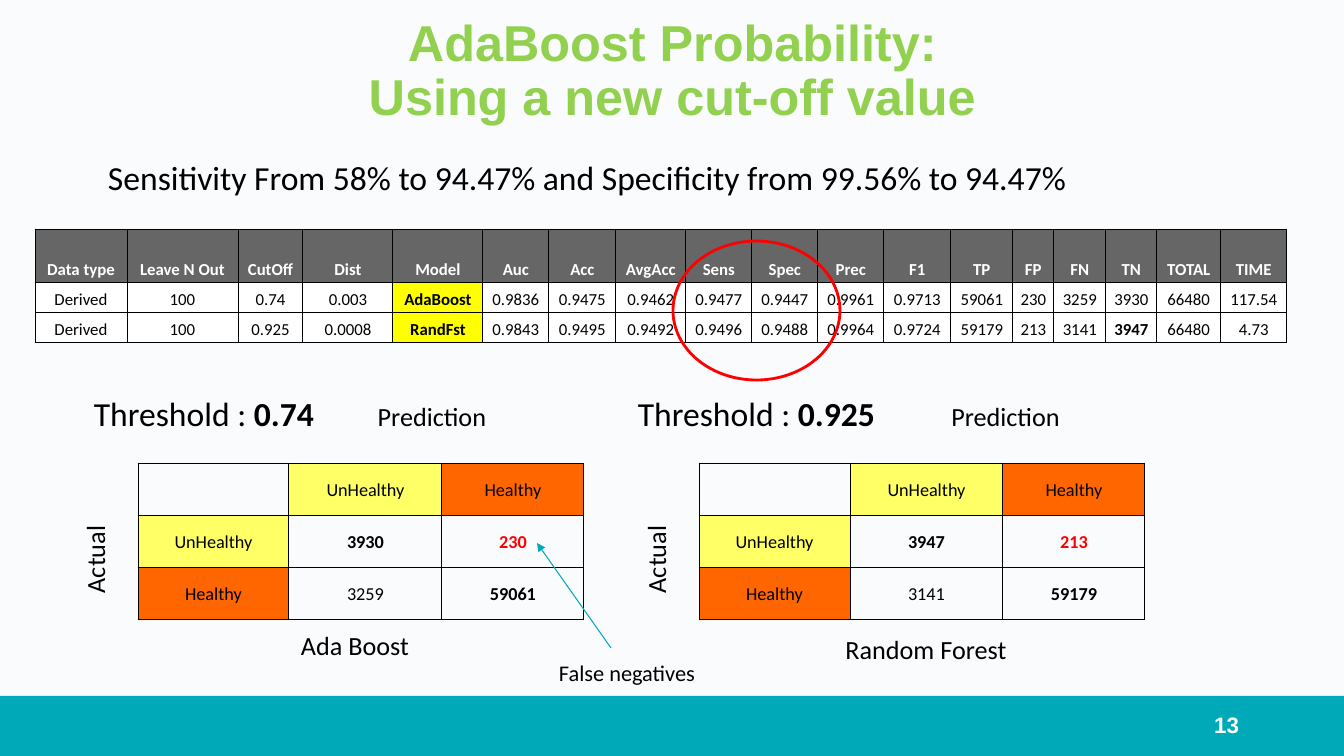
import pptx
import pptx.dml.color
import pptx.enum.shapes
import pptx.enum.text
import pptx.oxml
import pptx.oxml.ns
import pptx.util

SCALE = 914400 / 100.8  # EMU in one px
BLACK, RED, TEAL = "000000", "FF0000", "00A9B7"
ALIGN = pptx.enum.text.PP_ALIGN
ANCHOR = pptx.enum.text.MSO_ANCHOR
SHAPE = pptx.enum.shapes.MSO_SHAPE

# Content
TITLE = "AdaBoost Probability:\vUsing a new cut-off value"
SUMMARY = "Sensitivity From 58% to 94.47% and Specificity from 99.56% to 94.47%"
PAGE_NUMBER = "13"
NOTE = "False negatives"

METRIC_WIDTHS = [92, 111, 65, 90, 90, 66, 67, 70, 66, 66, 66, 67, 62, 41, 52, 51, 64, 66]
METRIC_HEIGHTS = [54, 30, 30]
METRICS = [
    ["Data type", "Leave N Out", "CutOff", "Dist", "Model", "Auc", "Acc", "AvgAcc", "Sens",
     "Spec", "Prec", "F1", "TP", "FP", "FN", "TN", "TOTAL", "TIME"],
    ["Derived", "100", "0.74", "0.003", "AdaBoost", "0.9836", "0.9475", "0.9462", "0.9477",
     "0.9447", "0.9961", "0.9713", "59061", "230", "3259", "3930", "66480", "117.54"],
    ["Derived", "100", "0.925", "0.0008", "RandFst", "0.9843", "0.9495", "0.9492", "0.9496",
     "0.9488", "0.9964", "0.9724", "59179", "213", "3141", "3947", "66480", "4.73"],
]
MODEL_COLUMN = 4
BEST_CELL = (2, 15)

CLASS_FILLS = {"UnHealthy": "FFFF66", "Healthy": "FF6600"}
MATRIX_WIDTHS = [151, 153, 142]
MATRIX_HEIGHTS = [52, 52, 52]
MATRIX_TOP = 463
# left edge, threshold, prediction label (left, width), caption and its place, values
MATRICES = [
    {"left": 138, "threshold": "0.74", "prediction": (209, 446), "caption": "Ada Boost",
     "caption_at": (132, 618), "values": [["3930", "230"], ["3259", "59061"]]},
    {"left": 699, "threshold": "0.925", "prediction": (904, 203), "caption": "Random Forest",
     "caption_at": (703, 622), "values": [["3947", "213"], ["3141", "59179"]]},
]


def px(length):
    return pptx.util.Emu(round(length * SCALE))


def rgb(value):
    return pptx.dml.color.RGBColor.from_string(value)


def set_all(target, values):
    for name, value in values.items():
        setattr(target, name, value)


def insets(across, down):
    return {"margin_left": px(across), "margin_right": px(across),
            "margin_top": px(down), "margin_bottom": px(down)}


def add_span(para, text, size, color=BLACK, bold=False, font="Calibri"):
    span = para.add_run()
    span.text = text
    set_all(span.font, {"name": font, "size": pptx.util.Pt(size), "bold": bold})
    span.font.color.rgb = rgb(color)


def add_text(page, at, texts, size, align=ALIGN.CENTER, anchor=ANCHOR.TOP, down=13,
             spacing=None, **look):
    """texts holds (words, bold) pairs."""
    box = page.shapes.add_textbox(*map(px, at))
    set_all(box.text_frame, {"word_wrap": True, "vertical_anchor": anchor, **insets(13, down)})
    para = box.text_frame.paragraphs[0]
    set_all(para, {"alignment": align, "line_spacing": spacing})
    for index, (words, bold) in enumerate(texts):
        for part, line in enumerate(words.split("\v")):
            if part:
                para.add_line_break()
            add_span(para, line, size, bold=bold, **look)
    return box


def add_label(page, at, text, anchor=ANCHOR.TOP):
    return add_text(page, at, [(text, False)], 18.7, anchor=anchor, spacing=0.9)


def add_borders(cell):
    properties = cell._tc.get_or_add_tcPr()
    for index, side in enumerate(("lnL", "lnR", "lnT", "lnB")):
        properties.insert(index, pptx.oxml.parse_xml(
            f'<a:{side} {pptx.oxml.ns.nsdecls("a")} w="9525"><a:solidFill>'
            f'<a:srgbClr val="{BLACK}"/></a:solidFill></a:{side}>'))


def add_grid(page, left, top, widths, heights, rows, size, cell_format, style):
    """style(row, column, text) gives fill, text colour and bold."""
    table = page.shapes.add_table(len(heights), len(widths), px(left), px(top),
                                  px(sum(widths)), px(sum(heights))).table
    set_all(table, {"first_row": False, "horz_banding": False})
    for column, width in zip(table.columns, widths):
        column.width = px(width)
    for row, height in zip(table.rows, heights):
        row.height = px(height)
    for r, texts in enumerate(rows):
        for c, text in enumerate(texts):
            cell = table.cell(r, c)
            fill, color, bold = style(r, c, text)
            set_all(cell, cell_format)
            if fill:
                cell.fill.solid()
                cell.fill.fore_color.rgb = rgb(fill)
            else:
                cell.fill.background()
            add_borders(cell)
            if text:
                para = cell.text_frame.paragraphs[0]
                set_all(para, {"alignment": ALIGN.CENTER, "line_spacing": 1.15})
                add_span(para, text, size, color, bold)


def metric_style(row, column, text):
    if row == 0:
        return "666666", "FFFFFF", True
    if column == MODEL_COLUMN:
        return "FFFF00", BLACK, True
    return "FFFFFF", BLACK, (row, column) == BEST_CELL


def matrix_style(row, column, text):
    if row == 0 or column == 0:
        return CLASS_FILLS.get(text), BLACK, False
    return None, RED if (row, column) == (1, 2) else BLACK, (row, column) != (2, 1)


def add_matrix(page, matrix):
    left = matrix["left"]
    classes = list(CLASS_FILLS)
    rows = [[""] + classes] + [[name] + values for name, values in zip(classes, matrix["values"])]
    add_text(page, (left - 81, 380, 270, 46),
             [("Threshold :", False), (" " + matrix["threshold"], True)], 24, ALIGN.RIGHT)
    label_left, label_width = matrix["prediction"]
    add_label(page, (label_left, 391, label_width, 59), "Prediction")
    add_label(page, (left - 193, 534, 300, 51), "Actual").rotation = 270
    add_grid(page, left, MATRIX_TOP, MATRIX_WIDTHS, MATRIX_HEIGHTS, rows, 13,
             {"vertical_anchor": ANCHOR.MIDDLE, **insets(13, 7)}, matrix_style)
    add_label(page, (*matrix["caption_at"], 446, 59), matrix["caption"], ANCHOR.MIDDLE)


def main():
    deck = pptx.Presentation()
    set_all(deck, {"slide_width": px(1344), "slide_height": px(756)})
    page = deck.slides.add_slide(deck.slide_layouts[6])
    page.background.fill.solid()
    page.background.fill.fore_color.rgb = rgb("FAFBFC")

    # Footer band, title and summary
    band = page.shapes.add_shape(SHAPE.RECTANGLE, *map(px, (0, 696, 1344, 60)))
    band.shadow.inherit = False
    band.fill.solid()
    band.fill.fore_color.rgb = rgb(TEAL)
    band.line.fill.background()
    add_text(page, (93, 21, 1159, 102), [(TITLE, True)], 36, anchor=ANCHOR.MIDDLE, down=7,
             spacing=0.9, color="92D050", font="Arial")
    add_text(page, (950, 705, 302, 40), [(PAGE_NUMBER, True)], 16, ALIGN.RIGHT, ANCHOR.MIDDLE,
             down=7, color="FAFBFD", font="Arial")
    add_text(page, (95, 150, 988, 54), [(SUMMARY, False)], 24, ALIGN.LEFT, down=7)

    # Metrics table and confusion matrices
    add_grid(page, 35, 229, METRIC_WIDTHS, METRIC_HEIGHTS, METRICS, 12,
             {"vertical_anchor": ANCHOR.BOTTOM, **insets(4, 3)}, metric_style)
    for matrix in MATRICES:
        add_matrix(page, matrix)

    # Arrow to the false negatives
    arrow = page.shapes.add_connector(pptx.enum.shapes.MSO_CONNECTOR.STRAIGHT,
                                      *map(px, (611, 648, 537, 543)))
    arrow.line.color.rgb = rgb(TEAL)
    arrow.line.width = pptx.util.Pt(0.75)
    namespace = pptx.oxml.ns.nsdecls("a")
    arrow.line._get_or_add_ln().append(
        pptx.oxml.parse_xml(f'<a:tailEnd {namespace} type="triangle"/>'))
    arrow._element.spPr.append(pptx.oxml.parse_xml(f"<a:effectLst {namespace}/>"))
    add_text(page, (546, 652, 165, 40), [(NOTE, False)], 16, ALIGN.LEFT, down=7)

    # Ring around sensitivity and specificity
    ring = page.shapes.add_shape(SHAPE.OVAL, *map(px, (673, 241, 167, 139)))
    ring.shadow.inherit = False
    ring.fill.background()
    ring.line.color.rgb = rgb(RED)
    ring.line.width = pptx.util.Pt(2)

    deck.save("out.pptx")


if __name__ == "__main__":
    main()
